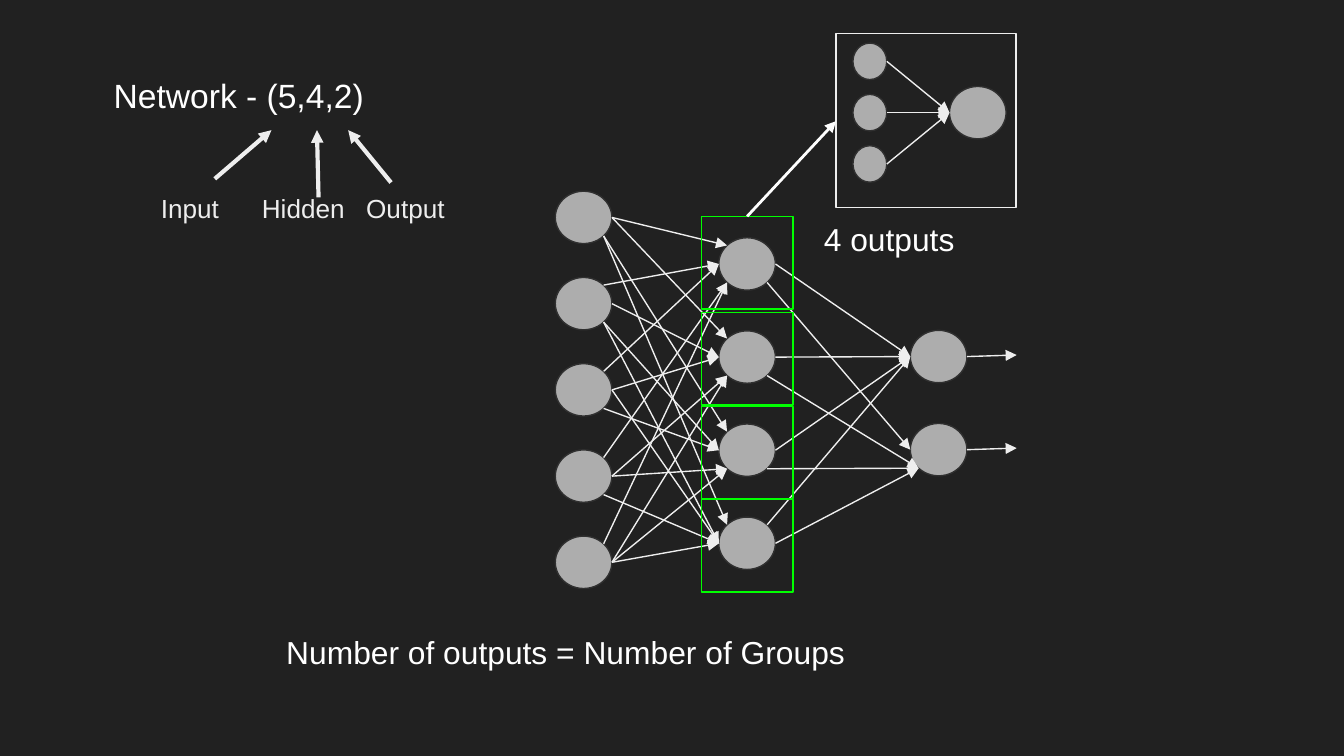
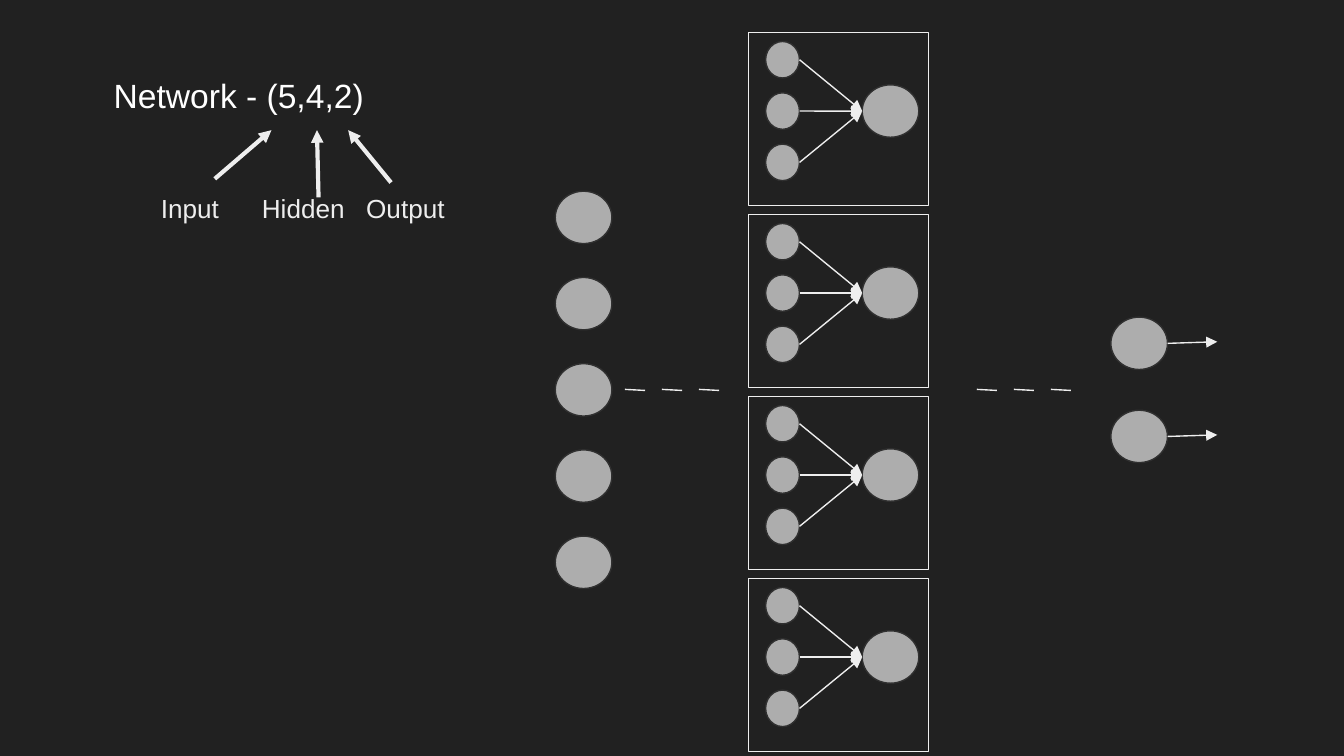
"""Two slides that explain a (5,4,2) network and its groups of hidden nodes."""
from math import sqrt

from pptx import Presentation
from pptx import util as u
from pptx.dml.color import RGBColor
from pptx.enum import shapes, text
from pptx.oxml import parse_xml
from pptx.oxml.ns import nsdecls

BACKGROUND, NODE, NODE_EDGE = "212121", "ADADAD", "303030"
PALE, WHITE, GREEN = "EEEEEE", "FFFFFF", "00FF00"

NODE_SIZE, FEEDER_SIZE, GROUP_SIZE = (1.07, 0.99), (0.64, 0.69), (3.4, 3.28)
HIDDEN_SIZE = (1.73, 1.75)
INPUT_PITCH, NODE_PITCH, FEEDER_PITCH, GROUP_PITCH = 1.63, 1.76, 0.97, 3.44

DIAGONAL = 1 / sqrt(2)
PORTS = {
    "R": (1, 0), "UR": (DIAGONAL, -DIAGONAL), "DR": (DIAGONAL, DIAGONAL),
    "L": (-1, 0), "UL": (-DIAGONAL, -DIAGONAL), "DL": (-DIAGONAL, DIAGONAL),
}
INPUT_LINKS = [
    ["R UL", "R UL", "DR UL", "DR UL"],
    ["UR L", "R L", "DR L", "DR L"],
    ["UR L", "R L", "DR L", "R L"],
    ["UR DL", "R DL", "R DL", "DR L"],
    ["UR DL", "R DL", "R DL", "R L"],
]
HIDDEN_LINKS = [["R L", "DR L"], ["R L", "DR DL"], ["R L", "DR DL"], ["UR L", "R DL"]]


def color(hex_code):
    """Turn a hex string into a colour."""
    return RGBColor.from_string(hex_code)


def apply(target, values):
    """Set every attribute named in a dict of format values."""
    for name, value in values.items():
        setattr(target, name, value)


def stroke(line, hex_code, width):
    """Give a line its colour and its width in points."""
    line.color.rgb = color(hex_code)
    line.width = u.Pt(width)


def outline(slide, kind, left, top, size, edge, fill=None):
    """Draw a preset shape with a thin edge and an optional fill."""
    figure = slide.shapes.add_shape(kind, *map(u.Cm, (left, top, *size)))
    figure.shadow.inherit = False
    stroke(figure.line, edge, 0.75)
    if fill:
        figure.fill.solid()
        figure.fill.fore_color.rgb = color(fill)
    else:
        figure.fill.background()


def node(slide, center, size=NODE_SIZE):
    """Draw a network node around its centre."""
    left, top = (middle - extent / 2 for middle, extent in zip(center, size))
    outline(slide, shapes.MSO_SHAPE.OVAL, left, top, size, NODE_EDGE, NODE)


def layer(slide, x, first_y, pitch, count, size=NODE_SIZE):
    """Draw a column of nodes and return their centres."""
    centers = [(x, first_y + pitch * row) for row in range(count)]
    for center in centers:
        node(slide, center, size)
    return centers


def port(center, side, size=NODE_SIZE):
    """Find the point on the rim of a node where a link attaches."""
    return tuple(middle + extent / 2 * way
                 for middle, extent, way in zip(center, size, PORTS[side]))


def link(slide, start, end, hex_code=PALE, width=0.75, arrow=True):
    """Draw a straight line, by default with an arrowhead at its end."""
    wire = slide.shapes.add_connector(
        shapes.MSO_CONNECTOR.STRAIGHT, *map(u.Cm, (*start, *end)))
    stroke(wire.line, hex_code, width)
    if arrow:
        wire.get_or_add_ln().append(
            parse_xml(f'<a:tailEnd {nsdecls("a")} type="triangle"/>'))
    wire.element.spPr.append(parse_xml(f'<a:effectLst {nsdecls("a")}/>'))


def connect_layers(slide, sources, targets, links):
    """Link two layers through the ports listed for each pair of nodes."""
    for source, row in zip(sources, links):
        for target, ports in zip(targets, row):
            leaving, entering = ports.split()
            link(slide, port(source, leaving), port(target, entering))


def caption(slide, words, left, top, width, height, points, hex_code=WHITE, tabs=()):
    """Write one line of text, with tab stops where given."""
    box = slide.shapes.add_textbox(*map(u.Cm, (left, top, width, height)))
    frame = box.text_frame
    inset = u.Cm(0.25)
    apply(frame, {
        "word_wrap": True, "auto_size": text.MSO_AUTO_SIZE.SHAPE_TO_FIT_TEXT,
        "margin_left": inset, "margin_right": inset,
        "margin_top": inset, "margin_bottom": inset,
    })
    run = frame.paragraphs[0].add_run()
    run.text = words
    apply(run.font, {"name": "Arial", "size": u.Pt(points)})
    run.font.color.rgb = color(hex_code)
    if tabs:
        stops = "".join(f'<a:tab pos="{u.Cm(stop)}" algn="l"/>' for stop in tabs)
        box.element.xpath(".//a:p")[0].get_or_add_pPr().append(
            parse_xml(f'<a:tabLst {nsdecls("a")}>{stops}</a:tabLst>'))


def group(slide, left, top):
    """Draw a framed group: three feeding nodes and the node they lead to."""
    outline(slide, shapes.MSO_SHAPE.RECTANGLE, left, top, GROUP_SIZE, PALE)
    feeders = layer(slide, left + 0.64, top + 0.52, FEEDER_PITCH, 3, FEEDER_SIZE)
    hub = (left + 2.68, top + 1.49)
    node(slide, hub)
    for feeder in feeders:
        link(slide, port(feeder, "R", FEEDER_SIZE), port(hub, "L"))


def output_layer(slide, x, first_y):
    """Draw the two output nodes with their outgoing arrows."""
    outputs = layer(slide, x, first_y, NODE_PITCH, 2)
    for output in outputs:
        tip_x, tip_y = port(output, "R")
        link(slide, (tip_x, tip_y), (tip_x + 0.94, tip_y - 0.03))
    return outputs


def dashes(slide, left):
    """Draw three short strokes that stand for omitted links."""
    for step in range(3):
        x = left + 0.7 * step
        link(slide, (x, 7.36), (x + 0.38, 7.38), arrow=False)


def network_slide(deck):
    """Add a slide with the network title, its legend and the input layer."""
    slide = deck.slides.add_slide(deck.slide_layouts[6])
    slide.background.fill.solid()
    slide.background.fill.fore_color.rgb = color(BACKGROUND)
    caption(slide, "Network - (5,4,2)", 1.9, 1.17, 5.72, 1.27, 18)
    for label, figure in (((4.06, 3.38), (5.13, 2.46)),
                          ((6.02, 3.73), (5.99, 2.46)),
                          ((7.39, 3.45), (6.58, 2.46))):
        link(slide, label, figure, width=2.25)
    caption(slide, "Input\tHidden\tOutput", 2.79, 3.38, 19.84, 1.12, 14, PALE,
            tabs=(1.91, 3.88))
    return slide, layer(slide, 11.03, 4.11, INPUT_PITCH, 5)


def full_network(deck):
    """Build the slide with every link and one group enlarged."""
    slide, inputs = network_slide(deck)
    hidden = layer(slide, 14.12, 4.99, NODE_PITCH, 4)
    outputs = output_layer(slide, 17.74, 6.74)
    connect_layers(slide, inputs, hidden, INPUT_LINKS)
    connect_layers(slide, hidden, outputs, HIDDEN_LINKS)
    for top in (4.09, 5.91, 7.68, 9.44):
        outline(slide, shapes.MSO_SHAPE.RECTANGLE, 13.26, top, HIDDEN_SIZE, GREEN)
    caption(slide, "4 outputs", 15.32, 3.91, 4.55, 1.24, 17)
    caption(slide, "Number of outputs = Number of Groups", 5.16, 11.71, 15.67, 1.24, 17)
    group(slide, 15.8, 0.64)
    link(slide, (14.12, 4.09), (15.8, 2.29), WHITE, 1.5)


def grouped_network(deck):
    """Build the slide with each hidden node shown as a group."""
    slide, _ = network_slide(deck)
    output_layer(slide, 21.53, 6.49)
    for row in range(4):
        group(slide, 14.15, 0.61 + GROUP_PITCH * row)
    for left in (11.81, 18.46):
        dashes(slide, left)


def main():
    """Build and save the deck."""
    deck = Presentation()
    apply(deck, {"slide_width": u.Cm(25.4), "slide_height": u.Cm(14.29)})
    full_network(deck)
    grouped_network(deck)
    deck.save("out.pptx")


if __name__ == "__main__":
    main()
